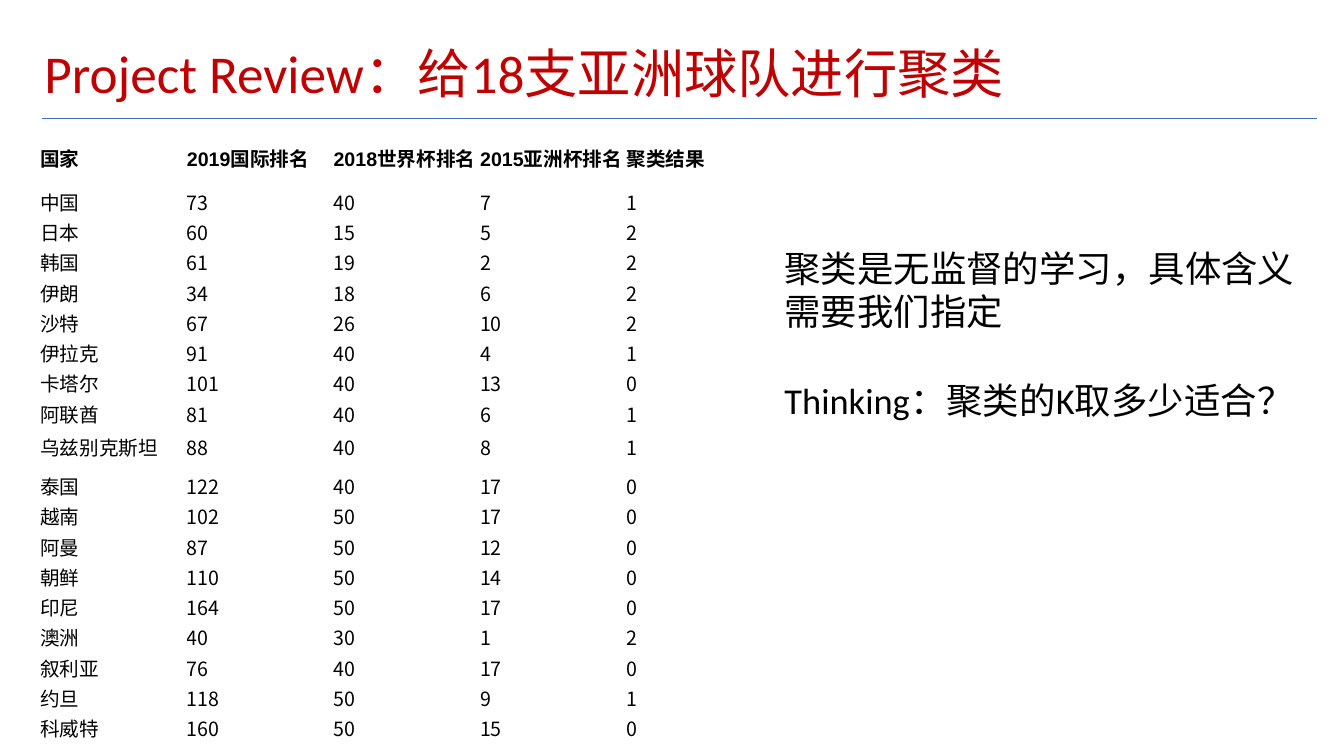
from pptx import Presentation
from pptx.dml.color import RGBColor
from pptx.enum.shapes import MSO_CONNECTOR
from pptx.enum.text import MSO_ANCHOR, MSO_AUTO_SIZE, PP_ALIGN
from pptx.oxml.ns import qn
from pptx.util import Inches, Pt

STRAIGHT = MSO_CONNECTOR.STRAIGHT
MIDDLE, TOP = MSO_ANCHOR.MIDDLE, MSO_ANCHOR.TOP
NO_AUTOFIT = MSO_AUTO_SIZE.NONE
LEFT = PP_ALIGN.LEFT

RED = RGBColor(0xC0, 0x00, 0x00)
BLUE = RGBColor(0x3F, 0x6F, 0xC3)
BLACK = RGBColor(0x00, 0x00, 0x00)
CJK_FONT = "Noto Sans CJK SC"

TITLE_FORMAT = {"name": "Calibri", "size": Pt(38), "bold": False}
REMARK_FORMAT = {"name": "Calibri", "size": Pt(26), "bold": False}
HEADER_FORMAT = {"name": "Arial", "size": Pt(14), "bold": True}
COUNTRY_FORMAT = {"name": "Arial", "size": Pt(14), "bold": False}
RANK_FORMAT = {"name": CJK_FONT, "size": Pt(14), "bold": False}
FRAME_FORMAT = {"word_wrap": True, "auto_size": NO_AUTOFIT}
FRAME_FORMAT.update({f"margin_{side}": Inches(0.05)
                     for side in ("left", "top", "right", "bottom")})
CELL_FORMAT = {"margin_left": Inches(0.01), "margin_top": Inches(0.01),
               "margin_right": Inches(0.01), "margin_bottom": Inches(0),
               "vertical_anchor": MIDDLE}
TABLE_FORMAT = {"first_row": False, "horz_banding": False}

TITLE = "Project Review：给18支亚洲球队进行聚类"
REMARKS = ["聚类是无监督的学习，具体含义需要我们指定",
           "Thinking：聚类的K取多少适合？"]
HEADERS = ("国家", "2019国际排名", "2018世界杯排名", "2015亚洲杯排名", "聚类结果")
TEAMS = [
    ("中国", 73, 40, 7, 1),
    ("日本", 60, 15, 5, 2),
    ("韩国", 61, 19, 2, 2),
    ("伊朗", 34, 18, 6, 2),
    ("沙特", 67, 26, 10, 2),
    ("伊拉克", 91, 40, 4, 1),
    ("卡塔尔", 101, 40, 13, 0),
    ("阿联酋", 81, 40, 6, 1),
    ("乌兹别克斯坦", 88, 40, 8, 1),
    ("泰国", 122, 40, 17, 0),
    ("越南", 102, 50, 17, 0),
    ("阿曼", 87, 50, 12, 0),
    ("朝鲜", 110, 50, 14, 0),
    ("印尼", 164, 50, 17, 0),
    ("澳洲", 40, 30, 1, 2),
    ("叙利亚", 76, 40, 17, 0),
    ("约旦", 118, 50, 9, 1),
    ("科威特", 160, 50, 15, 0),
]
TALL_ROWS = (0, 9)


def apply_format(target, values):
    for attribute, value in values.items():
        setattr(target, attribute, value)


def write(paragraph, text, font_format, color):
    paragraph.alignment = LEFT
    run = paragraph.add_run()
    run.text = text
    apply_format(run.font, font_format)
    run.font.color.rgb = color
    # East Asian typeface
    properties = run.font._element
    east_asian = properties.makeelement(qn("a:ea"), {"typeface": CJK_FONT})
    properties.find(qn("a:latin")).addnext(east_asian)


def add_title(slide):
    title = slide.shapes.title
    apply_format(title, {"left": Inches(0.39), "top": Inches(0.4),
                         "width": Inches(11.13), "height": Inches(0.71)})
    frame = title.text_frame
    apply_format(frame, FRAME_FORMAT)
    frame.vertical_anchor = MIDDLE
    heading = frame.paragraphs[0]
    heading.line_spacing = 0.9
    write(heading, TITLE, TITLE_FORMAT, RED)


def add_title_rule(slide):
    rule = slide.shapes.add_connector(STRAIGHT, Inches(0.42), Inches(1.18),
                                      Inches(13.06), Inches(1.18))
    rule.line.color.rgb = BLUE
    rule.line.width = Pt(0.75)
    properties = rule._element.spPr
    properties.append(properties.makeelement(qn("a:effectLst"), {}))


def add_remarks(slide):
    remarks = slide.shapes.add_textbox(Inches(7.73), Inches(2.39),
                                       Inches(5.2), Inches(1.85))
    frame = remarks.text_frame
    apply_format(frame, FRAME_FORMAT)
    frame.vertical_anchor = TOP
    for index, remark in enumerate(REMARKS):
        paragraph = frame.add_paragraph() if index else frame.paragraphs[0]
        if index:
            paragraph.space_before = Pt(32)
        write(paragraph, remark, REMARK_FORMAT, BLACK)
        # Keep closing punctuation inside the box
        paragraph._p.get_or_add_pPr().set("hangingPunct", "0")


def add_ranking(slide):
    rows = [HEADERS] + TEAMS
    ranking = slide.shapes.add_table(len(rows), len(HEADERS), Inches(0.39),
                                     Inches(1.27), Inches(7.27),
                                     Inches(5.91)).table
    apply_format(ranking, TABLE_FORMAT)
    for row_index, values in enumerate(rows):
        height = 0.42 if row_index in TALL_ROWS else 0.3
        ranking.rows[row_index].height = Inches(height)
        for column_index, value in enumerate(values):
            cell = ranking.cell(row_index, column_index)
            apply_format(cell, CELL_FORMAT)
            cell.fill.background()
            if row_index == 0:
                font_format = HEADER_FORMAT
            else:
                font_format = RANK_FORMAT if column_index else COUNTRY_FORMAT
                if row_index in TALL_ROWS:
                    cell.margin_bottom = Inches(0.05)
            write(cell.text_frame.paragraphs[0], str(value), font_format, BLACK)


def main():
    presentation = Presentation()
    presentation.slide_width = Inches(13.33)
    presentation.slide_height = Inches(7.5)
    slide = presentation.slides.add_slide(presentation.slide_layouts[5])

    # Heading
    add_title_rule(slide)
    add_title(slide)

    # Remarks and cluster results
    add_remarks(slide)
    add_ranking(slide)

    presentation.save("out.pptx")


if __name__ == "__main__":
    main()
